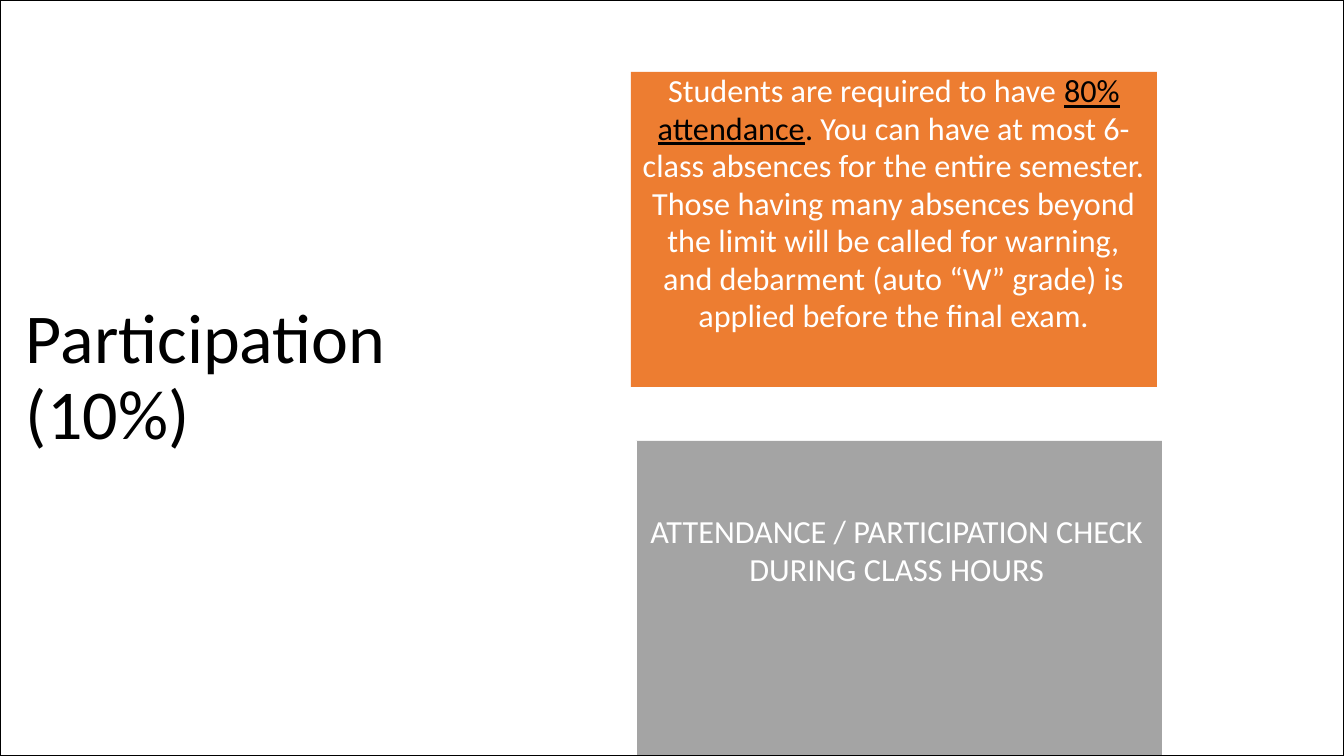
"""Builds the slide on the participation share of the course grade."""
import pptx
import pptx.dml.color
import pptx.enum.shapes
import pptx.enum.text
import pptx.oxml
import pptx.oxml.ns
import pptx.util

WIDTH, HEIGHT = 1344, 756
FONT = "Calibri"
BLACK, WHITE, ORANGE, GRAY = "000000", "FFFFFF", "ED7D31", "A4A4A4"

TITLE = [("Participation (10%)", BLACK, False)]
RULES = [
    ("Students are required to have ", WHITE, False),
    ("80%", BLACK, True),
    (" ", BLACK, False),
    ("attendance", BLACK, True),
    (". ", BLACK, False),
    ("You can have at most 6- class absences for the entire semester. "
     "Those having many absences beyond the limit will be called for warning, "
     "and debarment (auto “W” grade) is applied before the final exam.", WHITE, False),
]
CHECK = [("ATTENDANCE / PARTICIPATION CHECK DURING CLASS HOURS", WHITE, False)]

TITLE_BOX = (25, 288, 366, 162)
RULES_BOX = (631, 72, 526, 315)
CHECK_PANEL = (636, 441, 526, 315)
CHECK_BOX = (644, 512, 506, 80)
FRAME = (0, 0, WIDTH, HEIGHT)


def px(length):
    return round(length * 914400 / 100.8)


def color(value):
    return pptx.dml.color.RGBColor.from_string(value)


def add_rectangle(slide, box, fill=None, line=None):
    shape = slide.shapes.add_shape(
        pptx.enum.shapes.MSO_SHAPE.RECTANGLE, *map(px, box))
    shape.shadow.inherit = False
    if fill:
        shape.fill.solid()
        shape.fill.fore_color.rgb = color(fill)
    else:
        shape.fill.background()
    if line:
        shape.line.color.rgb = color(line)
        shape.line.width = pptx.util.Pt(1)
    else:
        shape.line.fill.background()
    return shape


def write(shape, runs, size, spacing, alignment, side=0, top=0):
    frame = shape.text_frame
    frame.word_wrap = True
    frame.vertical_anchor = pptx.enum.text.MSO_ANCHOR.TOP
    frame.margin_left = frame.margin_right = px(side)
    frame.margin_top, frame.margin_bottom = px(top), 0
    paragraph = frame.paragraphs[0]
    paragraph.alignment = alignment
    paragraph.line_spacing = spacing
    paragraph.font.name = FONT
    paragraph.font.size = pptx.util.Pt(size)
    for text, text_color, underline in runs:
        run = paragraph.add_run()
        run.text = text
        run.font.color.rgb = color(text_color)
        if underline:
            run.font.underline = True


def add_edge(slide, box):
    left, top, _, height = box
    edge = slide.shapes.add_connector(
        pptx.enum.shapes.MSO_CONNECTOR.STRAIGHT,
        px(left), px(top + height), px(left), px(top))
    edge.line.color.rgb = color(WHITE)
    edge.line.width = pptx.util.Pt(1)
    properties = edge.element.find(pptx.oxml.ns.qn("p:spPr"))
    properties.append(pptx.oxml.parse_xml(
        f'<a:effectLst {pptx.oxml.ns.nsdecls("a")}/>'))


def main():
    presentation = pptx.Presentation()
    presentation.slide_width, presentation.slide_height = px(WIDTH), px(HEIGHT)
    slide = presentation.slides.add_slide(presentation.slide_layouts[6])
    align = pptx.enum.text.PP_ALIGN

    title = slide.shapes.add_textbox(*map(px, TITLE_BOX))
    write(title, TITLE, 50, pptx.util.Pt(54), align.LEFT, side=1, top=14)

    rules = add_rectangle(slide, RULES_BOX, fill=ORANGE)
    write(rules, RULES, 23, 0.97, align.CENTER, side=11, top=1)

    add_rectangle(slide, CHECK_PANEL, fill=GRAY)
    add_edge(slide, CHECK_PANEL)
    check = slide.shapes.add_textbox(*map(px, CHECK_BOX))
    write(check, CHECK, 23, 0.97, align.CENTER, top=2)

    add_rectangle(slide, FRAME, line=BLACK)
    presentation.save("out.pptx")


if __name__ == "__main__":
    main()
